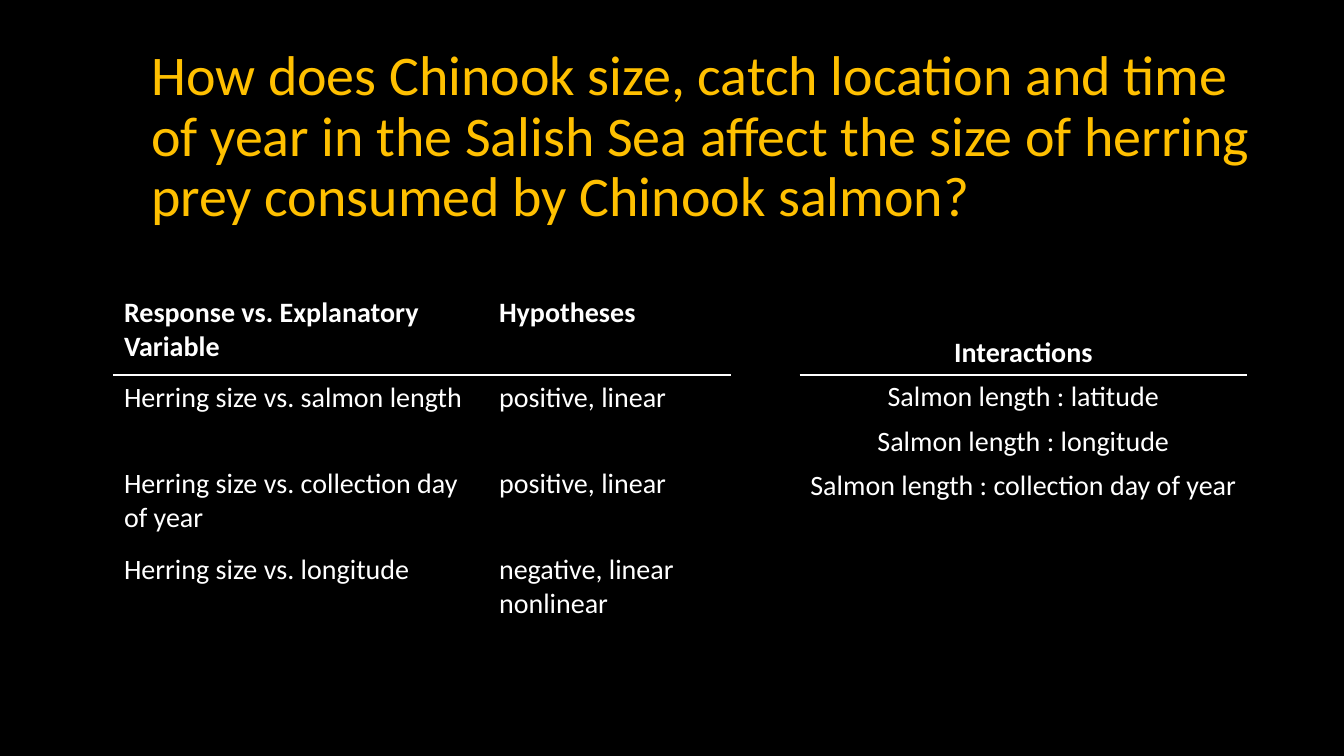
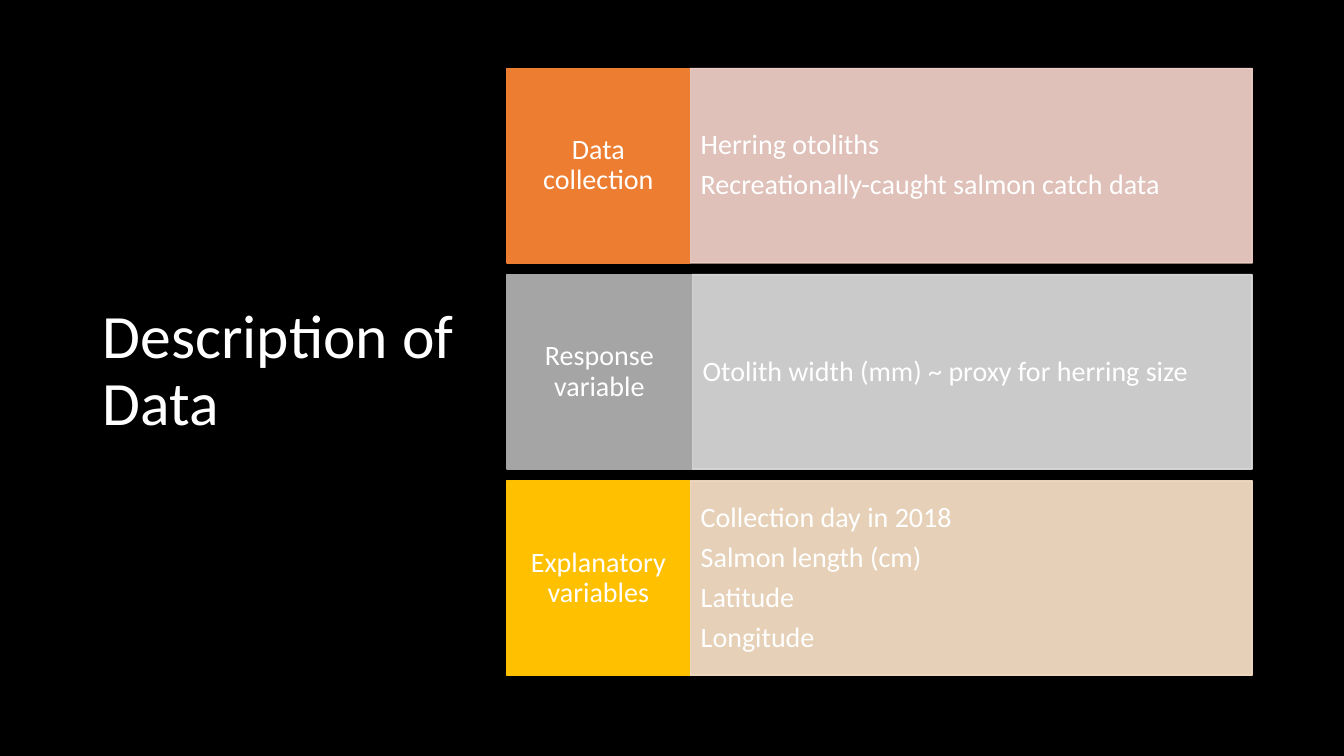
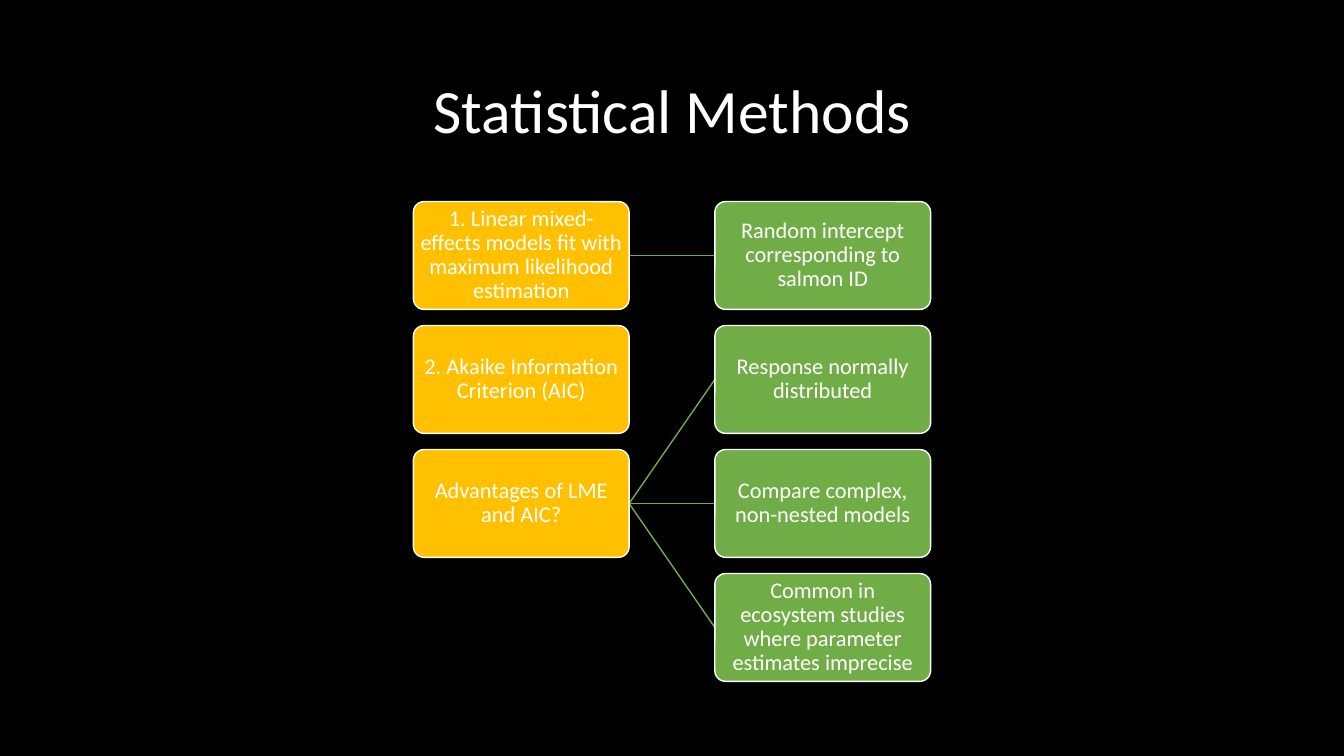
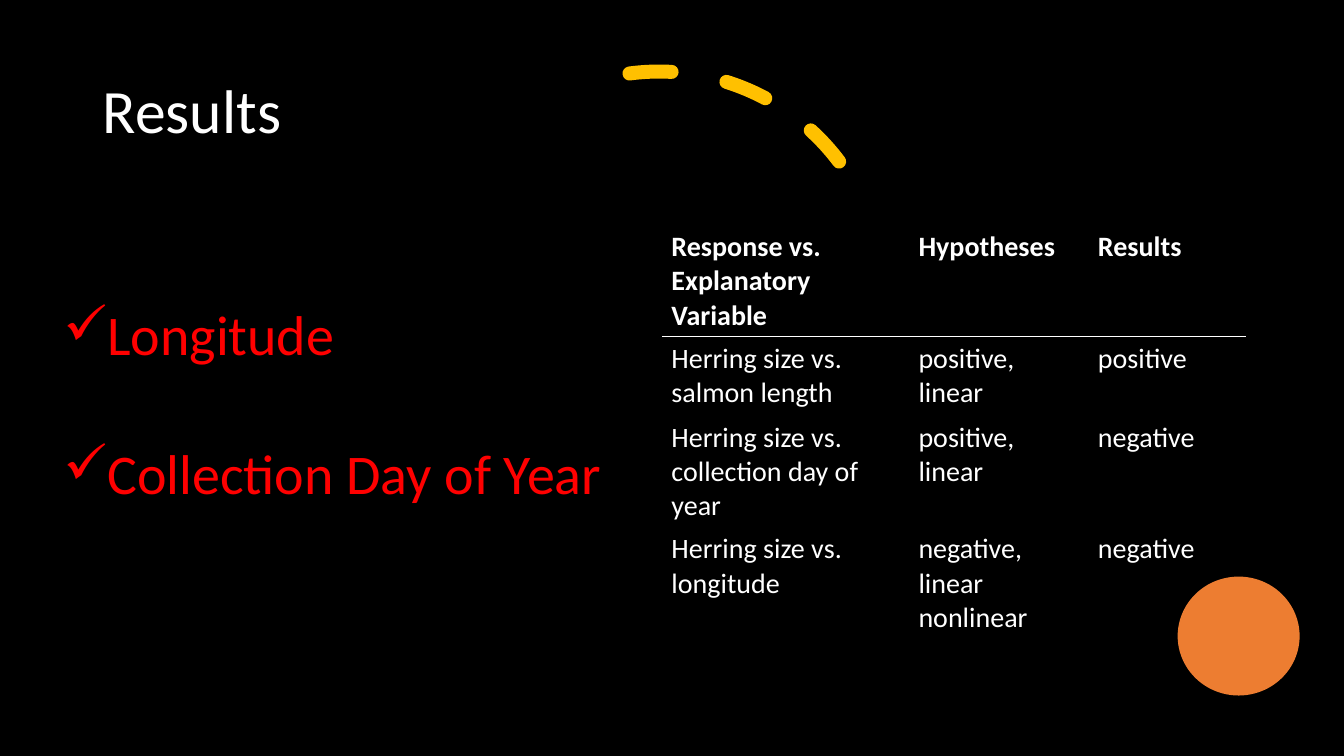
"""Build four slides on herring prey size and Chinook salmon."""
from pptx import Presentation
from pptx.dml.color import RGBColor
from pptx.enum.dml import MSO_LINE
from pptx.enum.shapes import MSO_CONNECTOR, MSO_SHAPE
from pptx.enum.text import MSO_ANCHOR, MSO_AUTO_SIZE, PP_ALIGN
from pptx.oxml import parse_xml
from pptx.oxml.ns import nsdecls, qn
from pptx.oxml.xmlchemy import OxmlElement
from pptx.util import Inches, Pt

FONT = "Calibri"
BLACK, WHITE, RED = "000000", "FFFFFF", "FF0000"
GOLD, ORANGE, GREY, GREEN = "FFC000", "ED7D31", "A5A5A5", "70AD47"
NO_STYLE = "{2D5ABB26-0587-4C30-8999-92F81FD0307C}"

QUESTION = ("How does Chinook size, catch location and time of year in the Salish Sea "
            "affect the size of herring prey consumed by Chinook salmon?")
HYPOTHESES = [
    ("Response vs. Explanatory Variable", "Hypotheses"),
    ("Herring size vs. salmon length", "positive, linear"),
    ("Herring size vs. collection day of year", "positive, linear"),
    ("Herring size vs. longitude", "negative, linear\nnonlinear"),
]
FINDINGS = ["Results", "positive", "negative", "negative"]
INTERACTIONS = [
    ("Interactions",),
    ("Salmon length : latitude",),
    ("Salmon length : longitude",),
    ("Salmon length : collection day of year",),
]
DATA_ROWS = [
    ("Data collection", ["Herring otoliths", "Recreationally-caught salmon catch data"],
     ORANGE, "F8D7CE", 1.81),
    ("Response variable", ["Otolith width (mm) ~ proxy for herring size"],
     GREY, "E1E1E1", 1.83),
    ("Explanatory variables",
     ["Collection day in 2018", "Salmon length (cm)", "Latitude", "Longitude"],
     GOLD, "FFE8CC", 1.81),
]
METHODS = [
    "1. Linear mixed-effects models fit with maximum likelihood estimation",
    "2. Akaike Information Criterion (AIC)",
    "Advantages of LME and AIC?",
]
DETAILS = [
    "Random intercept corresponding to salmon ID",
    "Response normally distributed",
    "Compare complex, non-nested models",
    "Common in ecosystem studies where parameter estimates imprecise",
]
LINKS = [(0, 0), (2, 1), (2, 2), (2, 3)]
CHECKED = ["Longitude", "Collection Day of Year"]


def rgb(value):
    return RGBColor.from_string(value)


def box(values):
    return [Inches(v) for v in values]


def format_text(tf, size, color=WHITE, align=PP_ALIGN.LEFT, spacing=0.9, after=0, bold=False):
    for p in tf.paragraphs:
        p.alignment, p.line_spacing = align, spacing
        p.space_before, p.space_after = Pt(0), Pt(after)
        for r in p.runs:
            r.font.name, r.font.size, r.font.bold = FONT, Pt(size), bold
            r.font.color.rgb = rgb(color)


def add_slide(title, at, size=44, color=WHITE, align=PP_ALIGN.LEFT, anchor=MSO_ANCHOR.MIDDLE):
    s = prs.slides.add_slide(prs.slide_layouts[5])
    sp = s.shapes.title
    sp.left, sp.top, sp.width, sp.height = box(at)
    tf = sp.text_frame
    tf.text = title
    tf.auto_size, tf.vertical_anchor = MSO_AUTO_SIZE.NONE, anchor
    format_text(tf, size, color, align)
    return s


def add_box(s, kind, at, fill=None, line=None, lines=(), size=20, align=PP_ALIGN.CENTER,
            inset=0.07, after=7):
    sp = s.shapes.add_shape(kind, *box(at))
    sp.shadow.inherit = False
    if fill:
        sp.fill.solid()
        sp.fill.fore_color.rgb = rgb(fill)
    else:
        sp.fill.background()
    if line:
        sp.line.color.rgb, sp.line.width = rgb(line), Pt(1)
    else:
        sp.line.fill.background()
    if lines:
        tf = sp.text_frame
        tf.text = "\n".join(lines)
        tf.word_wrap, tf.vertical_anchor = True, MSO_ANCHOR.MIDDLE
        tf.margin_left = tf.margin_right = Inches(inset)
        tf.margin_top = tf.margin_bottom = Inches(0)
        format_text(tf, size, align=align, after=after)
    return sp


def set_alpha(sp, percent):
    for color in sp.element.spPr.iter(qn("a:srgbClr")):
        alpha = OxmlElement("a:alpha")
        alpha.set("val", str(percent * 1000))
        color.append(alpha)


def add_table(s, left, top, widths, heights, rows, margins, align=PP_ALIGN.LEFT):
    frame = s.shapes.add_table(len(rows), len(widths),
                               *box((left, top, sum(widths), sum(heights))))
    for style in frame.element.iter(qn("a:tableStyleId")):
        style.text = NO_STYLE
    table = frame.table
    for column, width in zip(table.columns, widths):
        column.width = Inches(width)
    for row, height in zip(table.rows, heights):
        row.height = Inches(height)
    for i, row in enumerate(rows):
        for j, text in enumerate(row):
            cell = table.cell(i, j)
            cell.fill.background()
            cell.margin_left = cell.margin_right = Inches(margins[0])
            cell.margin_top = cell.margin_bottom = Inches(margins[1])
            cell.text_frame.text = text
            format_text(cell.text_frame, 20, align=align, spacing=1.0, bold=i == 0)
            if i == 0:
                cell.fill._xPr.insert(0, parse_xml(
                    f'<a:lnB {nsdecls("a")} w="12700"><a:solidFill>'
                    f'<a:srgbClr val="{WHITE}"/></a:solidFill></a:lnB>'))


def add_link(s, x1, y1, x2, y2):
    line = s.shapes.add_connector(MSO_CONNECTOR.STRAIGHT, *box((x1, y1, x2, y2)))
    line.line.color.rgb, line.line.width = rgb(GREEN), Pt(1)
    line.element.spPr.append(OxmlElement("a:effectLst"))


def question_slide():
    s = add_slide(QUESTION, (1.4, 0.42, 11.25, 2), 40, GOLD, anchor=MSO_ANCHOR.TOP)
    add_table(s, 1.12, 2.87, (3.72, 2.41), [0.85] * 4, HYPOTHESES, (0.11, 0.06))
    add_table(s, 7.93, 3.28, (4.44,), [0.44] * 4, INTERACTIONS, (0.1, 0.05), PP_ALIGN.CENTER)


def data_slide():
    s = add_slide("Description of Data", (0.92, 0.68, 3.69, 6.02))
    left, right, top, height, pitch = 5.03, 12.42, 0.68, 1.93, 2.045
    for i, (label, lines, color, tint, width) in enumerate(DATA_ROWS):
        y, split = top + i * pitch, left + width
        panel = add_box(s, MSO_SHAPE.RECTANGLE, (split, y, right - split, height), tint, tint,
                        lines, align=PP_ALIGN.LEFT, inset=0.11)
        set_alpha(panel, 90)
        add_box(s, MSO_SHAPE.RECTANGLE, (left, y, width, height), color, color, [label])


def methods_slide():
    s = add_slide("Statistical Methods", (0.92, 0.4, 11.5, 1.45), align=PP_ALIGN.CENTER)
    columns = [(4.1, GOLD, METHODS), (7.09, GREEN, DETAILS)]
    top, width, height, pitch = 2, 2.14, 1.07, 1.23
    for method, detail in LINKS:
        y1, y2 = (top + height / 2 + n * pitch for n in (method, detail))
        add_link(s, columns[0][0] + width, y1, columns[1][0], y2)
    for x, color, labels in columns:
        for i, label in enumerate(labels):
            sp = add_box(s, MSO_SHAPE.ROUNDED_RECTANGLE, (x, top + i * pitch, width, height),
                         color, WHITE, [label], size=16, inset=0.04, after=0)
            sp.adjustments[0] = 0.1


def results_slide():
    s = add_slide("Results", (0.92, 0.4, 11.5, 1.45))
    arc = add_box(s, MSO_SHAPE.ARC, (4.3, 0.71, 4.47, 4.47), line=GOLD)
    arc.adjustments[0], arc.adjustments[1] = 162, 200.93
    arc.rotation = 233.1
    arc.element.spPr.find(qn("a:xfrm")).set("flipV", "1")
    arc.line.width, arc.line.dash_style = Pt(10), MSO_LINE.DASH
    arc.element.spPr.find(qn("a:ln")).set("cap", "rnd")

    tf = s.shapes.add_textbox(*box((0.46, 3, 5.9, 3.47))).text_frame
    tf.word_wrap = True
    tf.text = "\n".join(CHECKED)
    format_text(tf, 40, RED, after=6)
    tf.paragraphs[1].space_before = Pt(50)
    for p in tf.paragraphs:
        pPr = p._p.get_or_add_pPr()
        pPr.set("marL", str(Inches(0.38)))
        pPr.set("indent", str(Inches(-0.31)))
        bullet = OxmlElement("a:buChar")
        bullet.set("char", "✓")
        pPr.append(bullet)

    add_box(s, MSO_SHAPE.OVAL, (11.68, 5.72, 1.21, 1.18), ORANGE)
    rows = [row + (finding,) for row, finding in zip(HYPOTHESES, FINDINGS)]
    add_table(s, 6.57, 2.23, (2.45, 1.78, 1.56), (1.11, 0.78, 1.11, 1.11), rows, (0.09, 0.05))


prs = Presentation()
prs.slide_width, prs.slide_height = Inches(13.33), Inches(7.5)
background = prs.slide_master.background.fill
background.solid()
background.fore_color.rgb = rgb(BLACK)
question_slide()
data_slide()
methods_slide()
results_slide()
prs.save("out.pptx")
